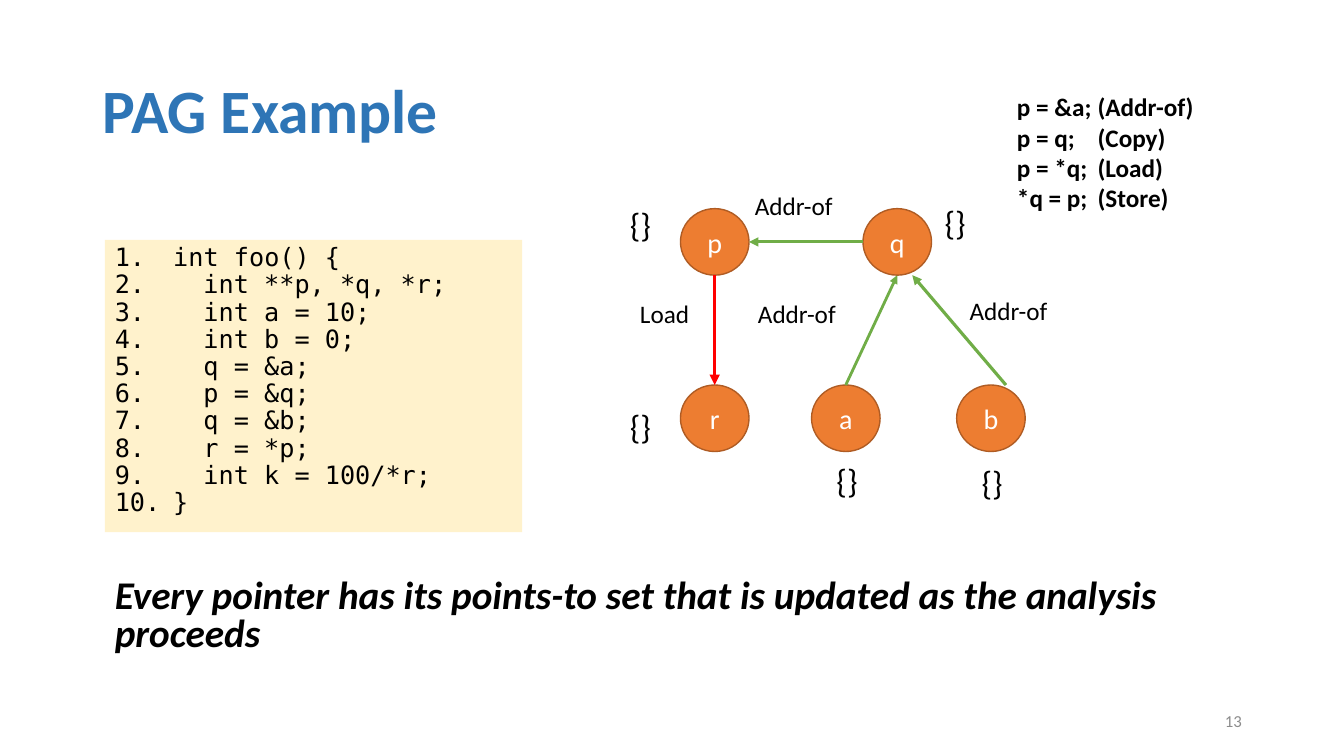
from lxml import etree
from pptx import Presentation, util as u
from pptx.dml.color import RGBColor
from pptx.enum import shapes, text
from pptx.oxml import ns

WIDTH, HEIGHT = u.Inches(13.33), u.Inches(7.5)
SANS, MONO = "Calibri", "DejaVu Sans Mono"
NODE_W, NODE_H = 5.1, 8.8
CODE = ["int foo() {", "int **p, *q, *r;", "int a = 10;", "int b = 0;", "q = &a;",
        "p = &q;", "q = &b;", "r = *p;", "int k = 100/*r;", "}"]
RULES = ["p = &a;\t(Addr-of)", "p = q;\t(Copy)", "p = *q;\t(Load)", "*q = p;\t(Store)"]
# name: centre, then offset of the points-to set
NODES = {
    "p": (7.05, 7.47, -7.05, -5.73),
    "q": (20.63, 7.47, 2.78, -6),
    "r": (7.05, 30.8, -7.05, -2.27),
    "a": (16.8, 30.8, -1.43, 4.8),
    "b": (27.6, 30.8, -1.43, 5.07),
}
# source, source side, target, target side, sideways shift, colour, width, label place, label
EDGES = [
    ("q", (-1, 0), "p", (1, 0), 0, "70AD47", 2.25, (9.3, 0), "Addr-of"),
    ("a", (0, -1), "q", (0, 1), 0, "70AD47", 2, (9.53, 14.27), "Addr-of"),
    ("b", (0, -1), "q", (0, 1), 1.12, "70AD47", 2.25, (25.28, 13.87), "Addr-of"),
    ("p", (0, 1), "r", (0, -1), 0, "FF0000", 2.5, (0.75, 14.27), "Load"),
]


def color(value):
    """Turn a hex string into a colour."""
    return RGBColor.from_string(value)


def place(left, top, width=0, height=0):
    """Convert percentages of the slide into lengths."""
    return [round(share * side / 100) for share, side in
            ((left, WIDTH), (top, HEIGHT), (width, WIDTH), (height, HEIGHT))]


def add_xml(parent, tag, **attributes):
    """Append a drawing element to a parent."""
    return etree.SubElement(parent, ns.qn(tag), attributes)


def write(shape, lines, size, ink="000000", font=SANS, bold=False, italic=False,
          align=text.PP_ALIGN.LEFT, anchor=text.MSO_ANCHOR.TOP, spacing=None):
    """Fill a shape with evenly formatted paragraphs."""
    frame = shape.text_frame
    frame.word_wrap = True
    frame.vertical_anchor = anchor
    frame.text = "\n".join(lines)
    for paragraph in frame.paragraphs:
        paragraph.alignment = align
        if spacing:
            paragraph.line_spacing = spacing
        for run in paragraph.runs:
            run.font.size, run.font.name = u.Pt(size), font
            run.font.bold, run.font.italic = bold, italic
            run.font.color.rgb = color(ink)
    return frame.paragraphs


def add_text(slide, box, lines, size, **style):
    """Place a text box and return its paragraphs."""
    return write(slide.shapes.add_textbox(*place(*box)), lines, size, **style)


def add_filled(slide, kind, box, fill, outline=None):
    """Place a flat filled shape."""
    shape = slide.shapes.add_shape(kind, *place(*box))
    shape.shadow.inherit = False
    shape.fill.solid()
    shape.fill.fore_color.rgb = color(fill)
    if outline:
        shape.line.color.rgb = color(outline)
        shape.line.width = u.Pt(1)
    else:
        shape.line.fill.background()
    return shape


def add_arrow(slide, start, end, ink, width):
    """Draw a straight arrow between two points."""
    arrow = slide.shapes.add_connector(
        shapes.MSO_CONNECTOR.STRAIGHT, *place(*start)[:2], *place(*end)[:2])
    arrow.line.color.rgb = color(ink)
    arrow.line.width = u.Pt(width)
    add_xml(arrow.line._get_or_add_ln(), "a:tailEnd", type="triangle")
    add_xml(arrow._element.spPr, "a:effectLst")


def draw_code(slide, box):
    """Draw the numbered program listing."""
    panel = add_filled(slide, shapes.MSO_SHAPE.RECTANGLE, box, "FFF2CC")
    paragraphs = write(panel, CODE, 18, font=MONO, spacing=0.9)
    for paragraph in paragraphs:
        in_body = paragraph not in (paragraphs[0], paragraphs[-1])
        is_body = in_body and paragraph.text not in (CODE[0], CODE[-1])
        indent = u.Inches(0.88 if is_body else 0.58)
        properties = paragraph._p.get_or_add_pPr()
        properties.set("marL", str(indent))
        properties.set("indent", str(-indent))
        add_xml(add_xml(properties, "a:buClr"), "a:srgbClr", val="000000")
        add_xml(properties, "a:buFont", typeface=MONO)
        add_xml(properties, "a:buAutoNum", type="arabicPeriod")


def draw_rules(slide, box):
    """Draw the list of statement kinds in two aligned columns."""
    for paragraph in add_text(slide, box, RULES, 18, bold=True):
        tabs = add_xml(paragraph._p.get_or_add_pPr(), "a:tabLst")
        add_xml(tabs, "a:tab", pos=str(u.Inches(0.8)), algn="l")


def draw_graph(slide, left, top):
    """Draw the pointer assignment graph from its top left corner."""
    for name, (x, y, set_x, set_y) in NODES.items():
        x, y = left + x, top + y
        node = add_filled(slide, shapes.MSO_SHAPE.OVAL,
                          (x - NODE_W / 2, y - NODE_H / 2, NODE_W, NODE_H), "ED7D31", "AF5C24")
        write(node, [name], 20, ink="FFFFFF", align=text.PP_ALIGN.CENTER,
              anchor=text.MSO_ANCHOR.MIDDLE)
        add_text(slide, (x + set_x, y + set_y, 5.48, 6.67), ["{}"], 24)

    def port(name, side, shift):
        """Find the point on one side of a node."""
        x, y = NODES[name][:2]
        return left + x + side[0] * NODE_W / 2 + shift, top + y + side[1] * NODE_H / 2

    for source, exit_side, target, entry_side, shift, ink, width, (x, y), label in EDGES:
        add_arrow(slide, port(source, exit_side, shift), port(target, entry_side, shift),
                  ink, width)
        add_text(slide, (left + x, top + y, 9.9, 5.33), [label], 18)


def draw_conclusion(slide, box):
    """Draw the closing statement."""
    statement = "Every pointer has its points-to set that is updated as the analysis proceeds"
    for paragraph in add_text(slide, box, [statement], 28, bold=True, italic=True, spacing=0.8):
        paragraph._p.get_or_add_pPr().set("marL", str(u.Inches(0.12)))


def main():
    """Build and save the slide."""
    deck = Presentation()
    deck.slide_width, deck.slide_height = WIDTH, HEIGHT
    slide = deck.slides.add_slide(deck.slide_layouts[6])
    add_text(slide, (6.9, 5.33, 86.25, 19.33), ["PAG Example"], 44, ink="2E75B6", bold=True,
             anchor=text.MSO_ANCHOR.MIDDLE, spacing=0.9)
    draw_code(slide, (7.8, 31.73, 31.05, 38.67))
    draw_graph(slide, 46.13, 24.53)
    draw_rules(slide, (74.93, 11.47, 19.7, 21.6))
    draw_conclusion(slide, (6.9, 76, 86.25, 14.1))
    add_text(slide, (70.65, 92.67, 22.5, 5.33), ["13"], 12, ink="8C8C8C",
             align=text.PP_ALIGN.RIGHT, anchor=text.MSO_ANCHOR.MIDDLE)
    deck.save("out.pptx")


if __name__ == "__main__":
    main()
